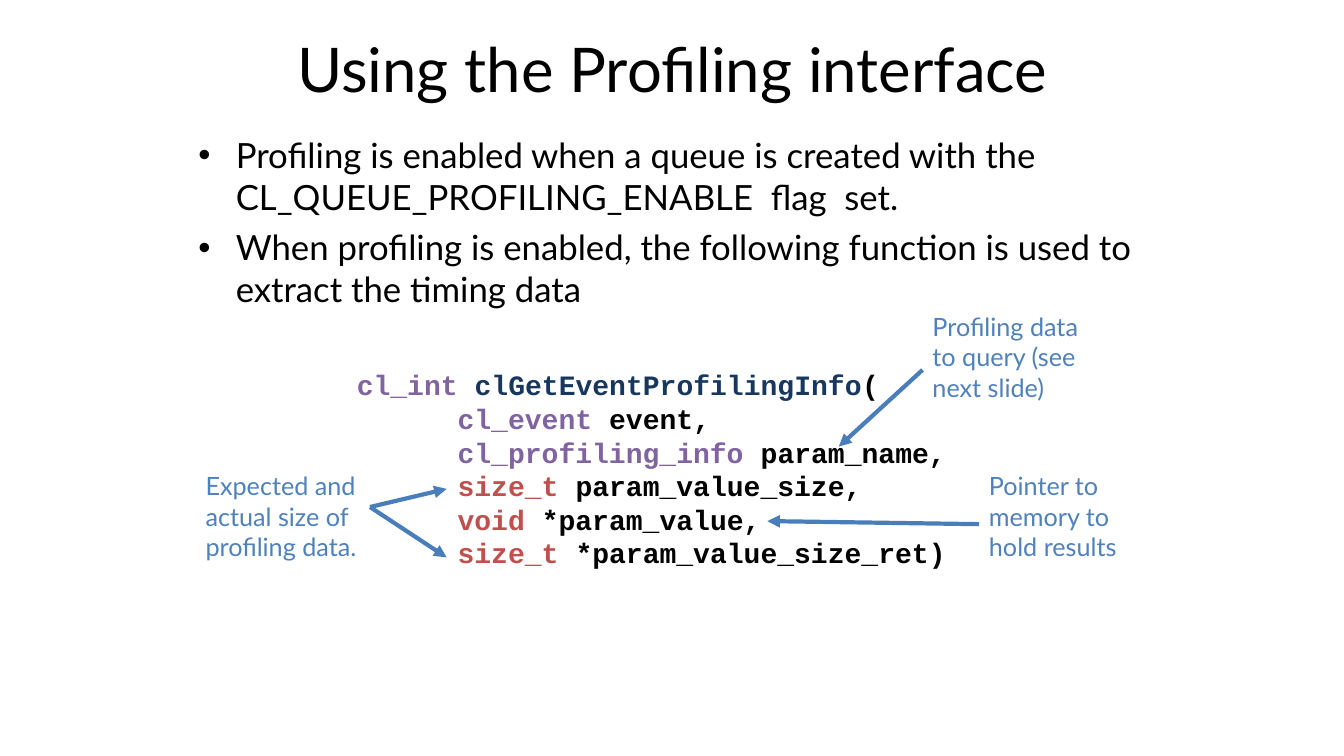
from lxml.etree import SubElement
from pptx import Presentation
from pptx.dml.color import RGBColor
from pptx.enum.shapes import MSO_CONNECTOR
from pptx.enum.text import MSO_ANCHOR, PP_ALIGN
from pptx.oxml.ns import qn
from pptx.util import Inches, Pt

BLACK, NAVY, PURPLE, RED = "000000", "17375E", "8064A2", "C0504D"
NOTE, ARROW = "4F81BD", "4A7EBB"
TITLE_FONT = {"name": "Lato", "size": Pt(44)}
BODY_FONT = {"name": "Lato", "size": Pt(24.8)}
NOTE_FONT = {"name": "Lato", "size": Pt(18)}
CODE_FONT = {"name": "Courier New", "size": Pt(20), "bold": True}

POINTS = [
    "Profiling is enabled when a queue is created with the "
    "CL_QUEUE_PROFILING_ENABLE  flag  set.",
    "When profiling is enabled, the following function is used to "
    "extract the timing data",
]
SIGNATURE = [("cl_int ", PURPLE), ("clGetEventProfilingInfo", NAVY), ("(", BLACK)]
PARAMETERS = [
    ("cl_event ", PURPLE, "event,"),
    ("cl_profiling_info ", PURPLE, "param_name,"),
    ("size_t ", RED, "param_value_size,"),
    ("void ", RED, "*param_value,"),
    ("size_t ", RED, "*param_value_size_ret)"),
]
CALLOUTS = [
    ("Expected and actual size of profiling data.", (1.94, 4.62, 1.81, 1.6),
     (3.67, 5.03), [(4.43, 4.85), (4.43, 5.53)]),
    ("Profiling data to query (see next slide)", (9.15, 3.04, 1.81, 1.3),
     (9.15, 3.67), [(8.32, 4.43)]),
    ("Pointer to memory to hold results", (9.71, 4.62, 1.81, 1),
     (9.71, 5.2), [(7.61, 5.17)]),
]


def color(hex_value):
    """Turn a hex string into a colour."""
    return RGBColor.from_string(hex_value)


def add_frame(slide, box):
    """Add a wrapping text box and return its text frame."""
    frame = slide.shapes.add_textbox(*map(Inches, box)).text_frame
    frame.word_wrap = True
    return frame


def write_lines(frame, lines, font):
    """Write each line of (text, colour) pieces as one paragraph."""
    for index, pieces in enumerate(lines):
        paragraph = frame.add_paragraph() if index else frame.paragraphs[0]
        for text, hue in pieces:
            run = paragraph.add_run()
            run.text = text
            run.font.color.rgb = color(hue)
            for key, value in font.items():
                setattr(run.font, key, value)


def add_title(slide, box, text):
    """Place the centred slide title."""
    frame = add_frame(slide, box)
    frame.vertical_anchor = MSO_ANCHOR.MIDDLE
    write_lines(frame, [[(text, BLACK)]], TITLE_FONT)
    frame.paragraphs[0].alignment = PP_ALIGN.CENTER


def add_points(slide, box, points):
    """Place the bulleted points."""
    frame = add_frame(slide, box)
    write_lines(frame, [[(point, BLACK)] for point in points], BODY_FONT)
    for paragraph in frame.paragraphs:
        paragraph.space_before = Pt(6.4)
        properties = paragraph._p.get_or_add_pPr()
        properties.set("marL", str(Inches(0.38)))
        properties.set("indent", str(Inches(-0.37)))
        SubElement(properties, qn("a:buFont"), typeface="Arial")
        SubElement(properties, qn("a:buChar"), char="•")


def add_prototype(slide, box, signature, parameters):
    """Place the function prototype with its indented parameters."""
    frame = add_frame(slide, box)
    lines = [[(kind, hue), (name, BLACK)] for kind, hue, name in parameters]
    write_lines(frame, [signature] + lines, CODE_FONT)
    for paragraph in frame.paragraphs[1:]:
        properties = paragraph._p.get_or_add_pPr()
        properties.set("marL", str(Inches(1)))
        properties.set("indent", "0")


def add_arrow(slide, start, end):
    """Draw one arrow from start to end."""
    arrow = slide.shapes.add_connector(
        MSO_CONNECTOR.STRAIGHT, *map(Inches, start + end))
    arrow.line.color.rgb = color(ARROW)
    arrow.line.width = Pt(3)
    SubElement(arrow.line._get_or_add_ln(), qn("a:tailEnd"), type="triangle")
    SubElement(arrow._element.spPr, qn("a:effectLst"))


def add_callout(slide, box, text, start, targets):
    """Place a note and the arrows to what it explains."""
    write_lines(add_frame(slide, box), [[(text, NOTE)]], NOTE_FONT)
    for target in targets:
        add_arrow(slide, start, target)


def build():
    """Build the slide and save the deck."""
    deck = Presentation()
    deck.slide_width, deck.slide_height = Inches(13.33), Inches(7.5)
    slide = deck.slides.add_slide(deck.slide_layouts[6])
    add_title(slide, (2.17, 0.05, 9, 1.25), "Using the Profiling interface")
    add_points(slide, (1.86, 1.28, 9.61, 1.53), POINTS)
    add_prototype(slide, (3.44, 3.6, 6.22, 2.1), SIGNATURE, PARAMETERS)
    for text, box, start, targets in CALLOUTS:
        add_callout(slide, box, text, start, targets)
    deck.save("out.pptx")


build()
